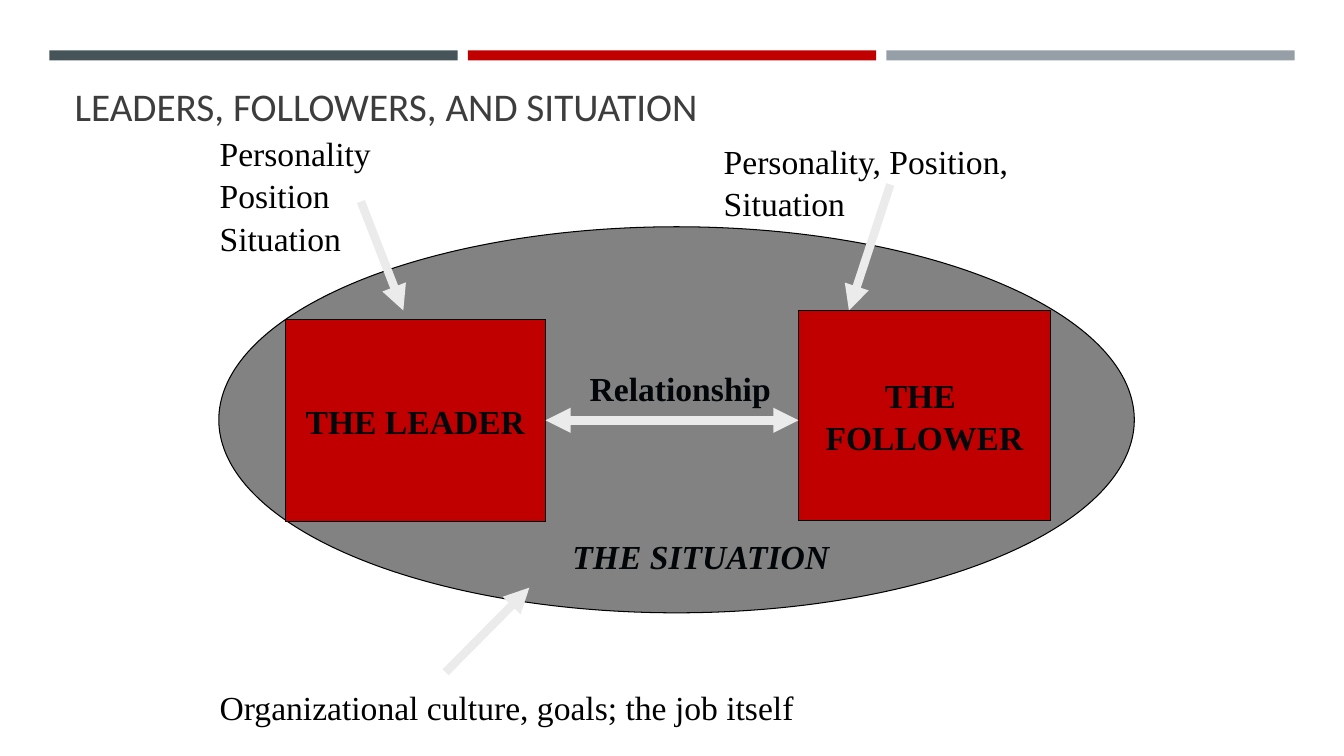
from pptx import Presentation
from pptx.dml.color import RGBColor
from pptx.enum.shapes import MSO_CONNECTOR as Connector, MSO_SHAPE as Shape
from pptx.enum.text import MSO_ANCHOR as Anchor, MSO_AUTO_SIZE as AutoSize, PP_ALIGN as Align
from pptx.oxml.ns import qn
from pptx.util import Inches, Pt
from lxml.etree import SubElement

SERIF = "Times New Roman"
BLACK, NEAR_BLACK, RED = "000000", "030609", "C00000"


def color(hex_string):
    return RGBColor.from_string(hex_string)


def format_text(text_frame, font_name, size, font_color, align=Align.LEFT,
                bold=False, italic=False, line_spacing=1.05):
    for paragraph in text_frame.paragraphs:
        paragraph.alignment = align
        paragraph.line_spacing = line_spacing
        for run in paragraph.runs:
            font = run.font
            font.name, font.size = font_name, Pt(size)
            font.bold, font.italic = bold, italic
            font.color.rgb = color(font_color)


def add_title(slide, text):
    title = slide.shapes.title
    title.left, title.top = Inches(0.64), Inches(0.77)
    title.width, title.height = Inches(12.06), Inches(1.3)
    text_frame = title.text_frame
    text_frame.text = text
    text_frame.vertical_anchor = Anchor.TOP
    text_frame.auto_size = AutoSize.NONE
    format_text(text_frame, "Calibri", 28, "3D3D3D", line_spacing=1.0)


def add_filled_shape(slide, kind, left, top, width, height, fill, outlined=True):
    shape = slide.shapes.add_shape(
        kind, Inches(left), Inches(top), Inches(width), Inches(height))
    shape.shadow.inherit = False
    shape.fill.solid()
    shape.fill.fore_color.rgb = color(fill)
    if outlined:
        shape.line.color.rgb = color(BLACK)
        shape.line.width = Pt(0.75)
    else:
        shape.line.fill.background()
    return shape


def add_role_box(slide, text, left, top, width, height):
    box = add_filled_shape(slide, Shape.RECTANGLE, left, top, width, height, RED)
    text_frame = box.text_frame
    text_frame.text = text
    text_frame.word_wrap = False
    text_frame.vertical_anchor = Anchor.MIDDLE
    format_text(text_frame, SERIF, 24, "04080C", Align.CENTER, bold=True)
    return box


def add_label(slide, text, left, top, width, height, wrap=False,
              font_color=BLACK, bold=False, italic=False):
    label = slide.shapes.add_textbox(
        Inches(left), Inches(top), Inches(width), Inches(height))
    text_frame = label.text_frame
    text_frame.text = text
    text_frame.word_wrap = wrap
    text_frame.auto_size = AutoSize.SHAPE_TO_FIT_TEXT
    format_text(text_frame, SERIF, 24, font_color, bold=bold, italic=italic)


def add_arrow(slide, start, end, two_way=False):
    arrow = slide.shapes.add_connector(
        Connector.STRAIGHT, *[Inches(value) for value in (*start, *end)])
    arrow.line.color.rgb = color("EBEBEB")
    arrow.line.width = Pt(6)
    line = arrow.line._get_or_add_ln()
    for tag in ("a:headEnd", "a:tailEnd") if two_way else ("a:tailEnd",):
        SubElement(line, qn(tag), type="triangle")
    SubElement(arrow._element.spPr, qn("a:effectLst"))
    return arrow


def main():
    presentation = Presentation()
    presentation.slide_width, presentation.slide_height = Inches(13.33), Inches(7.5)
    slide = presentation.slides.add_slide(presentation.slide_layouts[5])

    for index, fill in enumerate(("465359", RED, "969FA7")):
        add_filled_shape(slide, Shape.RECTANGLE, 0.49 + 4.15 * index, 0.5,
                         4.05, 0.1, fill, outlined=False)
    add_title(slide, "LEADERS, FOLLOWERS, AND SITUATION")

    add_filled_shape(slide, Shape.OVAL, 2.17, 2.25, 9.08, 3.83, "828282")
    add_role_box(slide, "THE \nFOLLOWER", 7.92, 3.08, 2.5, 2.08)
    leader = add_role_box(slide, "THE LEADER", 2.83, 3.17, 2.58, 2)

    add_label(slide, "Personality\nPosition\nSituation", 2.08, 1.25, 1.71, 1.31)
    add_label(slide, "Personality, Position,\nSituation", 7.08, 1.33, 3.17, 0.91, wrap=True)

    add_arrow(slide, (3.58, 2), (4, 3.08))
    add_arrow(slide, (8.83, 1.83), (8.42, 3.08))
    relationship = add_arrow(slide, (5.41, 4.17), (7.92, 4.17), two_way=True)
    relationship.begin_connect(leader, 3)
    add_label(slide, "Relationship", 5.75, 3.58, 2, 0.5,
              font_color=NEAR_BLACK, bold=True)

    add_arrow(slide, (4.42, 6.67), (5.25, 5.83))
    add_label(slide, "Organizational culture, goals; the job itself",
              2.08, 6.75, 6.67, 0.5, wrap=True)
    add_label(slide, "THE SITUATION", 5.58, 5.25, 2.77, 0.5,
              font_color=NEAR_BLACK, bold=True, italic=True)

    presentation.save("out.pptx")


if __name__ == "__main__":
    main()
